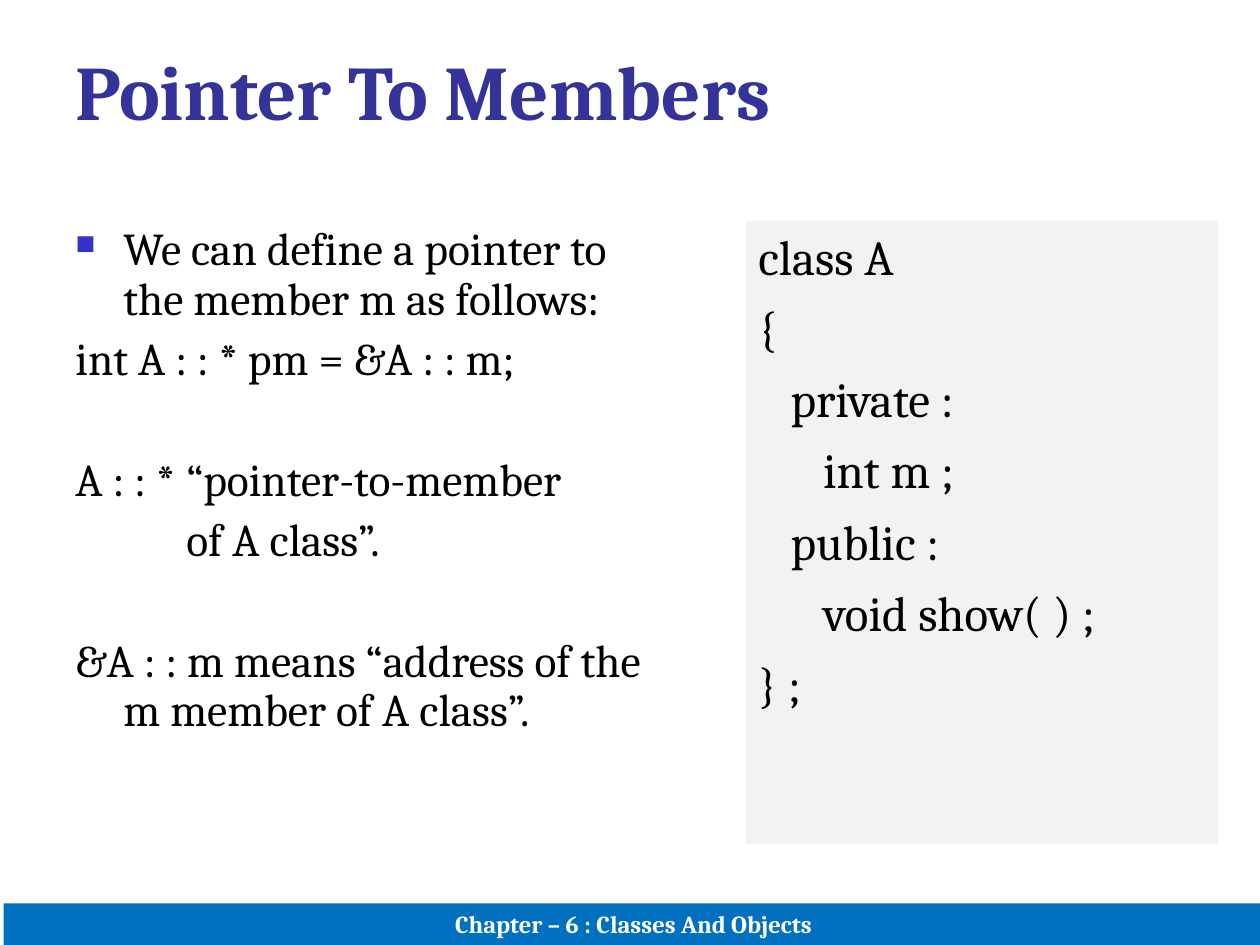
import pptx
import pptx.dml.color
import pptx.enum.shapes
import pptx.enum.text
import pptx.oxml.ns
import pptx.util
from lxml import etree

Inches, Pt = pptx.util.Inches, pptx.util.Pt
RGBColor = pptx.dml.color.RGBColor
ALIGN = pptx.enum.text.PP_ALIGN
ANCHOR = pptx.enum.text.MSO_ANCHOR
qn = pptx.oxml.ns.qn

FONT = "Cambria"
INDIGO = RGBColor(0x33, 0x33, 0x99)
BULLET_BLUE = RGBColor(0x33, 0x33, 0xCC)
BLACK = RGBColor(0, 0, 0)
WHITE = RGBColor(0xFF, 0xFF, 0xFF)
CODE_GREY = RGBColor(0xF2, 0xF2, 0xF2)
FOOTER_BLUE = RGBColor(0x00, 0x70, 0xC0)

# Content
TITLE = "Pointer To Members"
FOOTER = "Chapter – 6 : Classes And Objects"
NEAR, FAR = 6.5, 41  # points before a paragraph: same group, new group
NOTES = [  # text, space before
    ("We can define a pointer to the member m as follows:", 0),
    ("int A : : * pm = &A : : m;", NEAR),
    ("A : : * \t“pointer-to-member", FAR),
    ("\t\tof A class”.", NEAR),
    ("&A : : m means “address of the m member of A class”.", FAR),
]
CODE = [
    "class A",
    "{",
    "   private :",
    "      int m ;",
    "   public :",
    "      void show( ) ;",
    "} ;",
]
HANG = 0.38
TOP, HEIGHT = 1.75, 4.95  # shared by both columns


def add_sub(parent, tag, **attrs):
    sub = etree.SubElement(parent, qn(tag))
    for name, value in attrs.items():
        sub.set(name, str(value))
    return sub


def write(tf, text, size, color=BLACK, bold=False, align=ALIGN.LEFT, before=0,
          line=None, hang=0, bullet=False, tabs=()):
    """Add one paragraph to a text frame."""
    p = tf.paragraphs[0]
    if p.runs:
        p = tf.add_paragraph()
    pPr = p._p.get_or_add_pPr()
    if hang:
        pPr.set("marL", str(Inches(hang)))
        pPr.set("indent", str(-Inches(hang)))
    if bullet:
        add_sub(add_sub(pPr, "a:buClr"), "a:srgbClr", val=BULLET_BLUE)
        add_sub(pPr, "a:buSzPct", val=60000)
        add_sub(pPr, "a:buChar", char="■")
    if tabs:
        tab_list = add_sub(pPr, "a:tabLst")
        for pos in tabs:
            add_sub(tab_list, "a:tab", pos=Inches(pos), algn="l")
    p.alignment = align
    p.space_before = Pt(before)
    if line:
        p.line_spacing = line
    r = p.add_run()
    r.text = text
    r.font.name, r.font.size, r.font.bold = FONT, Pt(size), bold
    r.font.color.rgb = color


def add_frame(s, left, top, width, height, fill=None, anchor=ANCHOR.TOP):
    """Add a text box, or a filled rectangle, and return its text frame."""
    box = [Inches(v) for v in (left, top, width, height)]
    if fill is None:
        sp = s.shapes.add_textbox(*box)
    else:
        sp = s.shapes.add_shape(pptx.enum.shapes.MSO_SHAPE.RECTANGLE, *box)
        sp.shadow.inherit = False
        sp.fill.solid()
        sp.fill.fore_color.rgb = fill
        sp.line.fill.background()
    tf = sp.text_frame
    tf.word_wrap = True
    tf.vertical_anchor = anchor
    return tf


def main():
    prs = pptx.Presentation()
    prs.slide_width, prs.slide_height = Inches(10), Inches(7.5)
    s = prs.slides.add_slide(prs.slide_layouts[6])

    # Title
    write(add_frame(s, 0.5, 0.3, 9, 1.03), TITLE, 44, INDIGO, bold=True)

    # Explanation column
    tf = add_frame(s, 0.5, TOP, 4.75, HEIGHT)
    for i, (text, before) in enumerate(NOTES):
        write(tf, text, 26, before=before, line=0.9, hang=HANG,
              bullet=i == 0, tabs=(0, 1.32) if i else ())

    # Code panel
    tf = add_frame(s, 5.92, TOP, 3.75, HEIGHT, fill=CODE_GREY)
    for i, text in enumerate(CODE):
        write(tf, text, 28, before=7 if i else 0, hang=HANG)

    # Footer bar
    tf = add_frame(s, 0.03, 7.17, 10, 0.33, fill=FOOTER_BLUE,
                   anchor=ANCHOR.BOTTOM)
    write(tf, FOOTER, 14, WHITE, bold=True, align=ALIGN.CENTER)

    prs.save("out.pptx")


if __name__ == "__main__":
    main()
